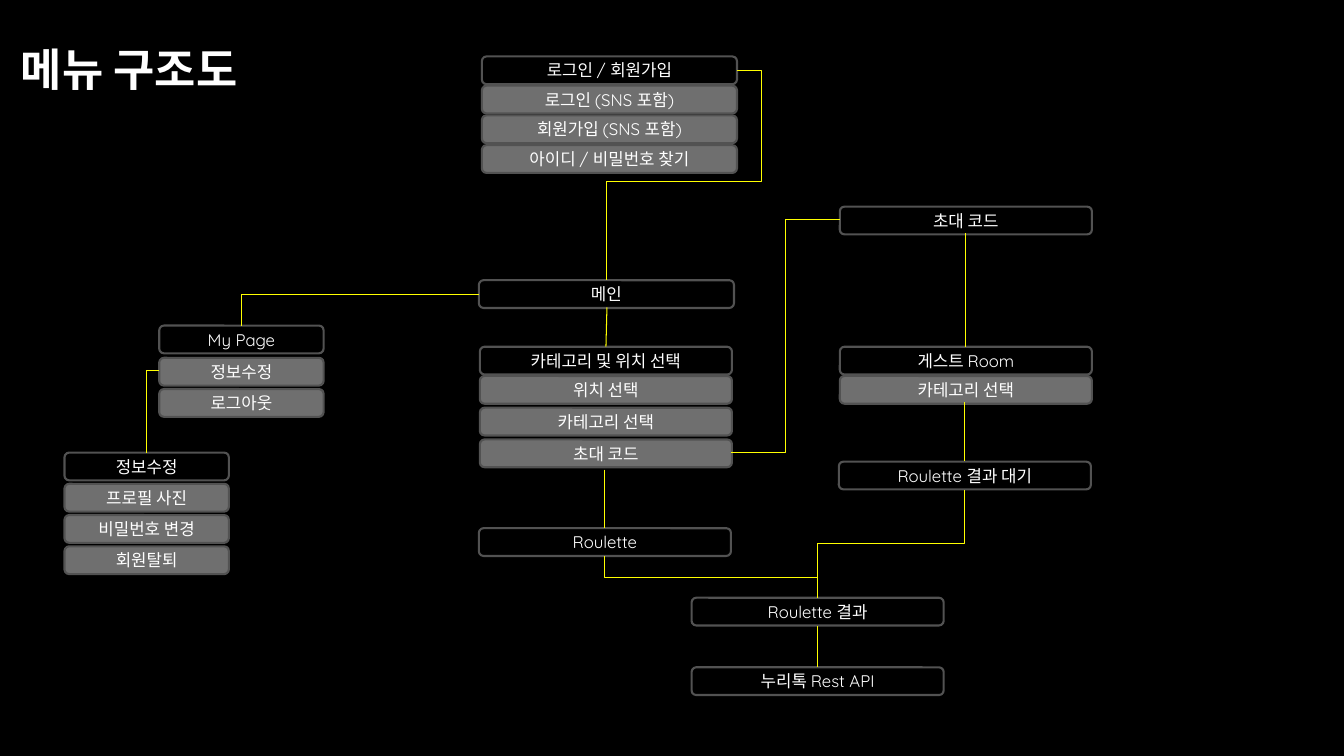
from lxml import etree
from pptx import Presentation
from pptx import util as u
from pptx.dml.color import RGBColor
from pptx.enum import shapes, text
from pptx.oxml.ns import qn

COLORS = {
    "background": "000000",
    "header": "000000",
    "item": "6F6F6F",
    "border": "525252",
    "route": "FFFF00",
    "text": "FFFFFF",
}
FONT = "Quicksand"
CELL = u.Inches(0.1)


def cells(count):
    return u.Emu(round(count * CELL))


def color(name):
    return RGBColor.from_string(COLORS[name])


class MenuMap:
    box_height = 2.75

    def __init__(self, deck):
        self.slide = deck.slides.add_slide(deck.slide_layouts[6])
        background = self.slide.background.fill
        background.solid()
        background.fore_color.rgb = color("background")

    def label(self, frame, words, size, align, bold=False):
        frame.word_wrap = True
        frame.vertical_anchor = text.MSO_ANCHOR.MIDDLE
        paragraph = frame.paragraphs[0]
        paragraph.alignment = align
        run = paragraph.add_run()
        run.text = words
        run.font.name = FONT
        run.font.size = u.Pt(size)
        run.font.bold = bold
        run.font.color.rgb = color("text")

    def title(self, words, col, row, width, height):
        heading = self.slide.shapes.add_textbox(*map(cells, (col, row, width, height)))
        self.label(heading.text_frame, words, 32, text.PP_ALIGN.LEFT, bold=True)

    def box(self, words, col, row, width, role):
        entry = self.slide.shapes.add_shape(
            shapes.MSO_SHAPE.ROUNDED_RECTANGLE,
            *map(cells, (col, row, width, self.box_height)))
        entry.shadow.inherit = False
        entry.fill.solid()
        entry.fill.fore_color.rgb = color(role)
        entry.line.color.rgb = color("border")
        entry.line.width = u.Pt(1.5)
        self.label(entry.text_frame, words, 12, text.PP_ALIGN.CENTER)

    def menu(self, col, row, width, header, items=(), first=2.9, pitch=3.1):
        self.box(header, col, row, width, "header")
        for index, item in enumerate(items):
            self.box(item, col, row + first + index * pitch, width, "item")

    def line(self, start, end, kind=shapes.MSO_CONNECTOR.STRAIGHT):
        route = self.slide.shapes.add_connector(kind, *map(cells, (*start, *end)))
        route.line.color.rgb = color("route")
        route.line.width = u.Pt(0.75)
        etree.SubElement(route._element.spPr, qn("a:effectLst"))
        return route

    def elbow(self, start, end, preset="bentConnector3", adjust=()):
        route = self.line(start, end, shapes.MSO_CONNECTOR.ELBOW)
        geometry = route._element.spPr.find(qn("a:prstGeom"))
        geometry.set("prst", preset)
        guides = geometry.find(qn("a:avLst"))
        for number, share in enumerate(adjust, 1):
            guide = etree.SubElement(guides, qn("a:gd"))
            guide.set("name", f"adj{number}")
            guide.set("fmla", f"val {round(share * 100000)}")
        return route

    def drop(self, start, end):
        (x1, y1), (x2, y2) = start, end
        mid_x, mid_y = (x1 + x2) / 2, (y1 + y2) / 2
        half_x, half_y = (x2 - x1) / 2, (y2 - y1) / 2
        route = self.elbow((mid_x - half_y, mid_y + half_x),
                           (mid_x + half_y, mid_y - half_x))
        route._element.spPr.find(qn("a:xfrm")).set("rot", str(90 * 60000))


def main():
    deck = Presentation()
    deck.slide_width, deck.slide_height = u.Inches(13.33), u.Inches(7.5)
    site = MenuMap(deck)
    site.title("메뉴 구조도", 1.1, 1, 29.4, 11.7)

    site.menu(47.8, 5.6, 25.3, "로그인 / 회원가입",
              ["로그인 (SNS 포함)", "회원가입 (SNS 포함)", "아이디 / 비밀번호 찾기"],
              pitch=2.95)
    site.menu(47.5, 27.8, 25.3, "메인")
    site.menu(15.8, 32.3, 16.3, "My Page", ["정보수정", "로그아웃"], first=3.2)
    site.menu(6.4, 44.9, 16.3, "정보수정",
              ["프로필 사진", "비밀번호 변경", "회원탈퇴"], first=3.1)
    site.menu(47.6, 34.4, 25, "카테고리 및 위치 선택",
              ["위치 선택", "카테고리 선택", "초대 코드"], pitch=3.15)
    site.menu(83.3, 20.5, 25, "초대 코드")
    site.menu(83.3, 34.4, 25, "게스트 Room", ["카테고리 선택"])
    site.menu(83.2, 45.8, 25, "Roulette 결과 대기")
    site.menu(47.5, 52.4, 25, "Roulette")
    site.menu(68.6, 59.3, 25, "Roulette 결과")
    site.menu(68.6, 66.2, 25, "누리톡 Rest API")

    site.elbow((73.1, 7), (60.2, 27.8), "bentConnector4", (-0.19, 0.53))
    site.elbow((47.5, 29.2), (24, 32.3), "bentConnector2")
    site.elbow((15.8, 36.8), (14.5, 44.9), "bentConnector2")
    site.elbow((83.3, 21.8), (72.5, 44.9))

    result_top = (81.1, 59.3)
    for source in ((60, 55.2), (95.7, 48.6)):
        site.drop(source, result_top)

    for start, end in (
        ((60.2, 30.5), (60.1, 34.4)),
        ((60, 46.6), (60, 52.4)),
        ((95.8, 23.1), (95.8, 34.4)),
        ((95.7, 39.9), (95.7, 45.7)),
        ((81.1, 62.1), (81.1, 66.2)),
    ):
        site.line(start, end)

    deck.save("out.pptx")


if __name__ == "__main__":
    main()
